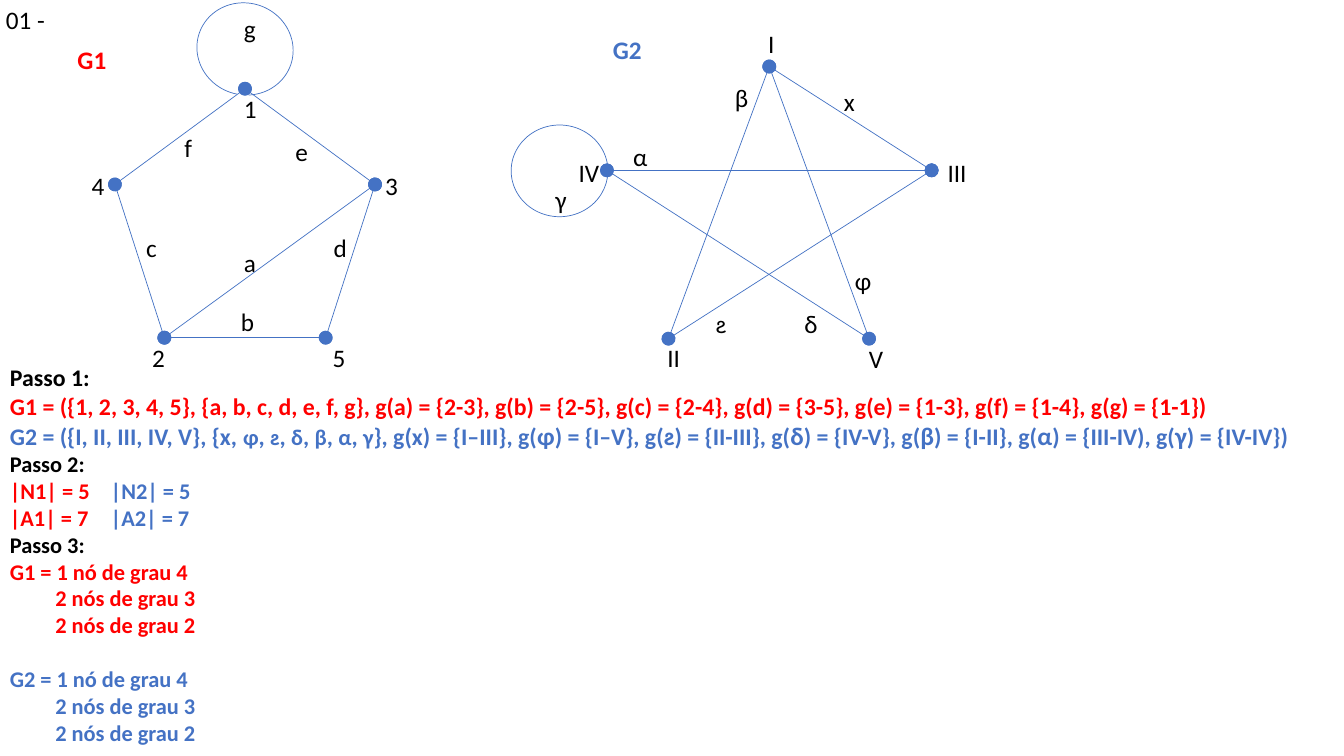
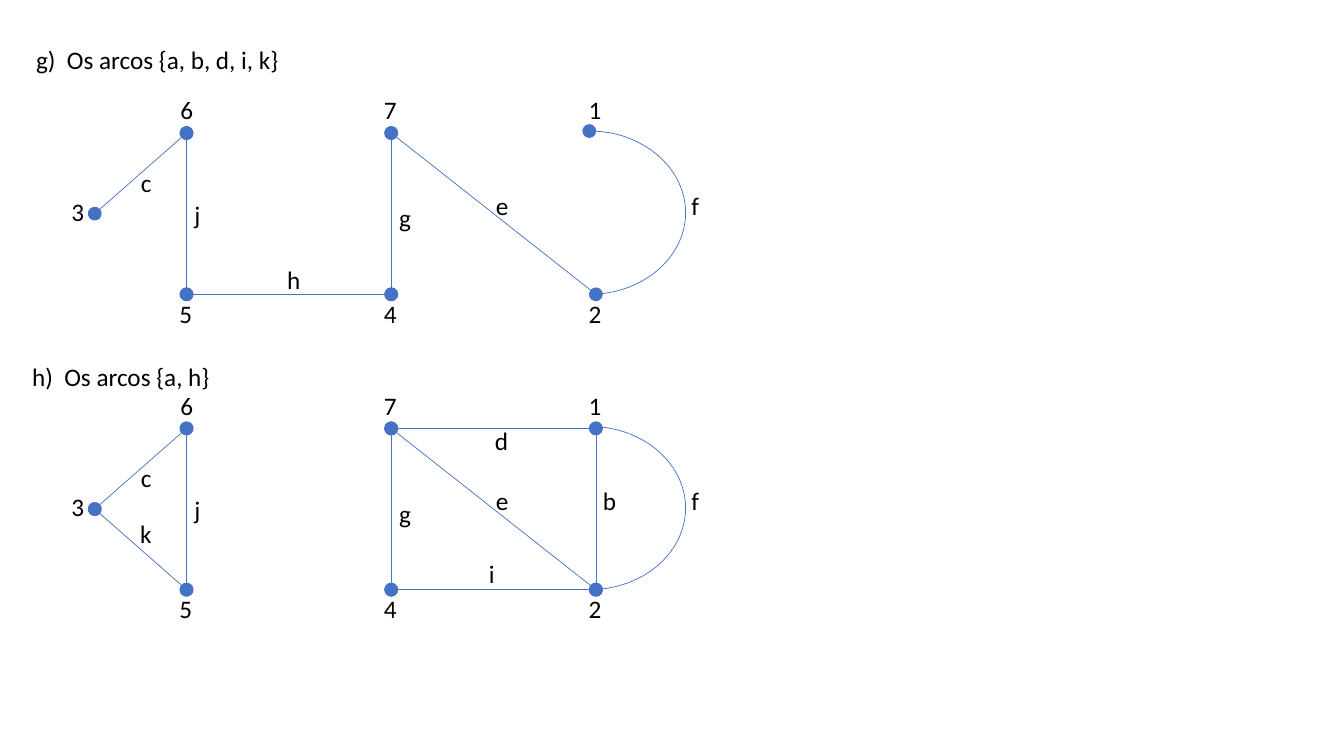
"""Two slides of graph exercises: isomorphism steps and arc removal."""
from itertools import groupby

from lxml import etree
from pptx import Presentation
from pptx import util as u
from pptx.dml.color import RGBColor
from pptx.enum import shapes, text
from pptx.oxml.ns import qn

FONT, BLACK, RED, BLUE = "Calibri", "000000", "FF0000", "4472C4"
SYMBOLS = "φϩδβαγ"

G1 = dict(
    nodes={"1": (2.43, 0.88), "2": (1.63, 3.35), "3": (3.72, 1.83),
           "4": (1.14, 1.83), "5": (3.23, 3.35)},
    edges=["23", "35", "52", "13", "14", "42"],
    arc=(1.95, 0.03, 0.96, 0.91, 156.49, 147.75, 199.3),
    labels={"1": (2.32, 0.88), "3": (3.72, 1.64), "2": (1.41, 3.35),
            "5": (3.2, 3.35), "4": (0.81, 1.64), "a": (2.32, 2.4),
            "b": (2.29, 2.99), "c": (1.35, 2.26), "d": (3.21, 2.26),
            "e": (2.83, 1.3), "f": (1.73, 1.26), "g": (2.32, 0.08)})
G2 = dict(
    nodes={"I": (7.63, 0.66), "II": (6.63, 3.36), "III": (9.24, 1.69),
           "IV": (6.02, 1.69), "V": (8.62, 3.36)},
    edges=[("IV", "V"), ("IV", "III"), ("II", "III"), ("II", "I"),
           ("V", "I"), ("III", "I")],
    arc=(5.07, 1.24, 0.96, 0.91, 0.98, 0, 0),
    labels={"I": (7.52, 0.23), "II": (6.52, 3.35), "III": (9.3, 1.51),
            "IV": (5.64, 1.51), "V": (8.52, 3.36), "x": (8.27, 0.81),
            "φ": (8.38, 2.58), "ϩ": (7, 3.01), "δ": (7.88, 3.01),
            "β": (7.19, 0.77), "α": (6.18, 1.35), "γ": (5.41, 1.78)})

ARC_NODES = {"3": (0.94, 2.12), "6": (1.85, 1.32), "7": (3.88, 1.32),
             "1": (5.91, 1.32), "2": (5.91, 2.92), "4": (3.88, 2.92),
             "5": (1.85, 2.92)}
ARC_ENDS = {"g": "74", "d": "71", "b": "21", "h": "54", "i": "24",
            "j": "56", "e": "27", "c": "36", "k": "35"}
ARC_F = (4.89, 1.3, 1.91, 1.62, 162, 50.25, 0)
NODE_LABELS = {"3": (0.61, 1.9), "6": (1.69, 0.89), "7": (3.71, 0.89),
               "1": (5.74, 0.89), "2": (5.74, 2.91), "4": (3.71, 2.91),
               "5": (1.68, 2.91)}
ARC_LABELS = {"c": (1.3, 1.61), "d": (4.81, 1.24), "e": (4.82, 1.84),
              "b": (5.88, 1.84), "f": (6.76, 1.84), "h": (2.75, 2.57),
              "i": (4.75, 2.56), "k": (1.29, 2.16), "j": (1.83, 1.93),
              "g": (3.86, 1.96)}


def rgb(value):
    """Turn a hex string into a colour."""
    return RGBColor.from_string(value)


def style_font(font, size, color, bold=False):
    """Set the face, size, colour and weight of a font."""
    font.name, font.size, font.bold = FONT, u.Pt(size), bold
    font.color.rgb = rgb(color)


def add_box(parent, x, y, w, h):
    """Add an empty wrapping text box and return its text frame."""
    tf = parent.shapes.add_textbox(*map(u.Inches, (x, y, w, h))).text_frame
    tf.word_wrap = True
    tf.auto_size = text.MSO_AUTO_SIZE.SHAPE_TO_FIT_TEXT
    return tf


def add_label(parent, x, y, words, color=BLACK, bold=False, w=0.49):
    """Add one line of 18 point text."""
    p = add_box(parent, x, y, w, 0.4).paragraphs[0]
    p.text = words
    style_font(p.font, 18, color, bold)


def style_line(sp, ends=()):
    """Draw a thin blue line with round dots at the given ends."""
    sp.line.color.rgb = rgb(BLUE)
    sp.line.width = u.Pt(0.5)
    ln = sp._element.spPr.find(qn("a:ln"))
    for end in ends:
        etree.SubElement(ln, qn(f"a:{end}"), type="oval", w="lg", len="lg")


def add_edge(parent, start, end):
    """Join two nodes with a dotted-end line."""
    points = map(u.Inches, (*start, *end))
    sp = parent.shapes.add_connector(shapes.MSO_CONNECTOR.STRAIGHT, *points)
    style_line(sp, ("headEnd", "tailEnd"))
    etree.SubElement(sp._element.spPr, qn("a:effectLst"))


def add_arc(parent, x, y, w, h, start, end, turn, ends=()):
    """Add an open arc."""
    sp = parent.shapes.add_shape(shapes.MSO_SHAPE.ARC,
                                 *map(u.Inches, (x, y, w, h)))
    sp.adjustments[0], sp.adjustments[1] = start, end
    sp.rotation = turn
    sp.fill.background()
    sp.shadow.inherit = False
    style_line(sp, ends)


def add_graph(s, nodes, edges, arc, labels, top=0, arc_ends=()):
    """Draw a grouped graph moved down by top."""
    group = s.shapes.add_group_shape()
    for a, b in edges:
        (xa, ya), (xb, yb) = nodes[a], nodes[b]
        add_edge(group, (xa, ya + top), (xb, yb + top))
    x, y, *rest = arc
    add_arc(group, x, y + top, *rest, ends=arc_ends)
    for words, (x, y) in labels.items():
        add_label(group, x, y + top, words)
    return group


def add_runs(p, words, color, size, symbol_size=None):
    """Add bold runs, giving Greek symbols their own size."""
    for symbol, chars in groupby(words, lambda c: c in SYMBOLS):
        r = p.add_run()
        r.text = "".join(chars)
        style_font(r.font, symbol_size if symbol else size, color, True)


def add_steps(s, x, y, w, h):
    """Write the three steps of the comparison."""
    steps = [
        (17, [("Passo 1:", BLACK)]),
        (17, [("G1 = ({1, 2, 3, 4, 5}, {a, b, c, d, e, f, g}, g(a) = {2-3}, "
               "g(b) = {2-5}, g(c) = {2-4}, g(d) = {3-5}, g(e) = {1-3}, "
               "g(f) = {1-4}, g(g) = {1-1})", RED)]),
        (17, [("G2 = ({I, II, III, IV, V}, {x, φ, ϩ, δ, β, α, γ}", BLUE, 16),
              (", g(x) = {I–III}, g(φ) = {I–V}, g(ϩ) = {II-III}, "
               "g(δ) = {IV-V}, g(β) = {I-II}, g(α) = {III-IV), "
               "g(γ) = {IV-IV})", BLUE, 18)]),
        (16, [("Passo 2:", BLACK)]),
        (16, [("|N1| = 5\t", RED), ("|N2| = 5", BLUE)]),
        (16, [("|A1| = 7\t", RED), ("|A2| = 7", BLUE)]),
        (16, [("Passo 3:", BLACK)])]
    tf = add_box(s, x, y, w, h)
    p = tf.paragraphs[0]
    for i, (size, pieces) in enumerate(steps):
        p = tf.add_paragraph() if i else p
        for words, color, *symbol_size in pieces:
            add_runs(p, words, color, size, *symbol_size)
    for name, color, gap in (("G1", RED, 0), ("G2", BLUE, 19.5)):
        degrees = (f"{name} = 1 nó de grau 4", "2 nós de grau 3",
                   "2 nós de grau 2")
        for i, words in enumerate(degrees):
            p = tf.add_paragraph()
            add_runs(p, words, color, 16)
            if i:
                p._p.get_or_add_pPr().set("marL", str(u.Inches(0.45)))
            else:
                p.space_before = u.Pt(gap)


def isomorphism_slide(s):
    """Compare the pentagon and the star."""
    add_steps(s, 0, 3.55, 13.33, 3.92)
    add_label(add_graph(s, **G1), 0.67, 0.39, "G1", RED, True)
    add_label(add_graph(s, **G2), 5.98, 0.29, "G2", BLUE, True)
    add_label(s, -0.04, -0.01, "01 -", w=0.97)


def add_removal(s, top, letter, title_at, removed, arc_ends=()):
    """Draw the arcs that stay after some are removed, with a title."""
    edges = [ends for arc, ends in ARC_ENDS.items() if arc not in removed]
    kept = {a: at for a, at in ARC_LABELS.items() if a not in removed}
    add_graph(s, ARC_NODES, edges, ARC_F, {**NODE_LABELS, **kept}, top,
              arc_ends)
    title = f"{letter})  Os arcos {{{', '.join(removed)}}}"
    add_label(s, *title_at, title, w=6.92)


def removal_slide(s):
    """Show two arc removals, one under the other."""
    add_removal(s, 0, "g", (0.26, 0.39), "abdik", ("headEnd",))
    add_removal(s, 2.93, "h", (0.22, 3.54), "ah")


def main():
    """Build and save the slides."""
    prs = Presentation()
    prs.slide_width, prs.slide_height = u.Inches(13.33), u.Inches(7.5)
    for build in (isomorphism_slide, removal_slide):
        build(prs.slides.add_slide(prs.slide_layouts[6]))
    prs.save("out.pptx")


main()
